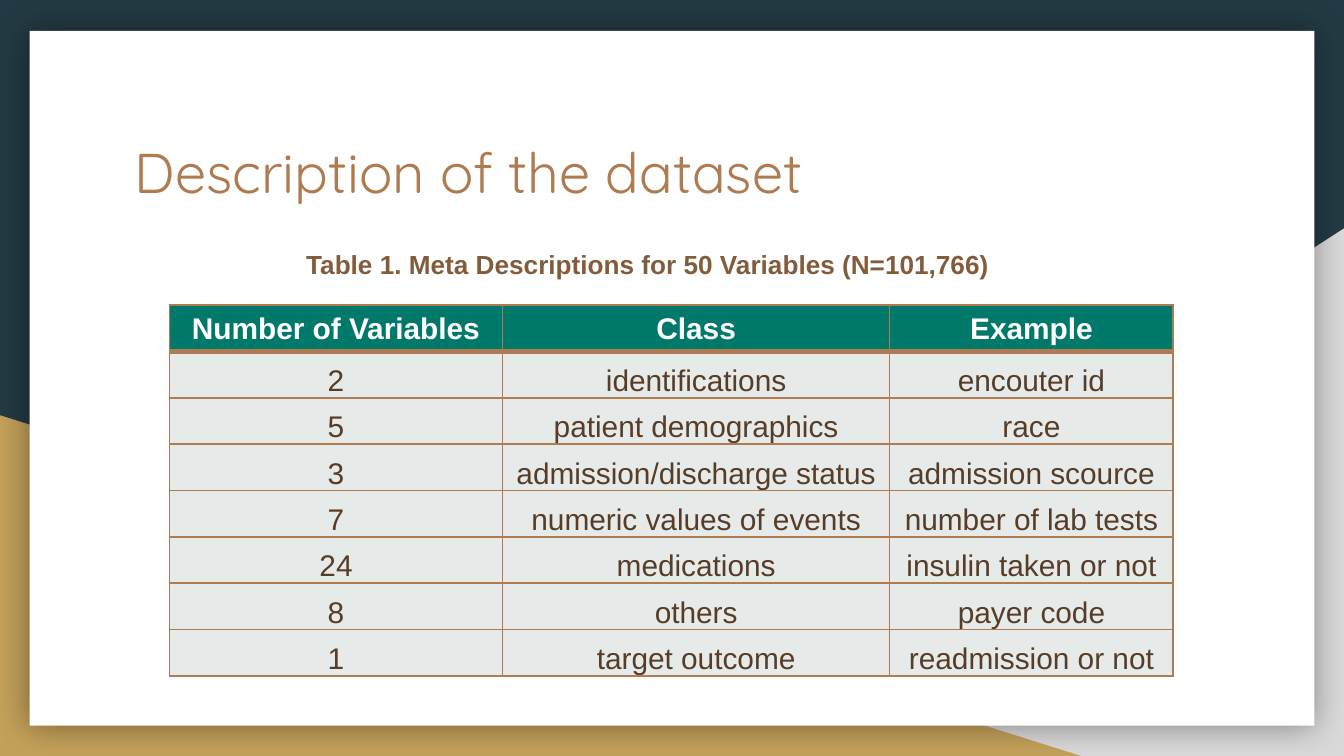
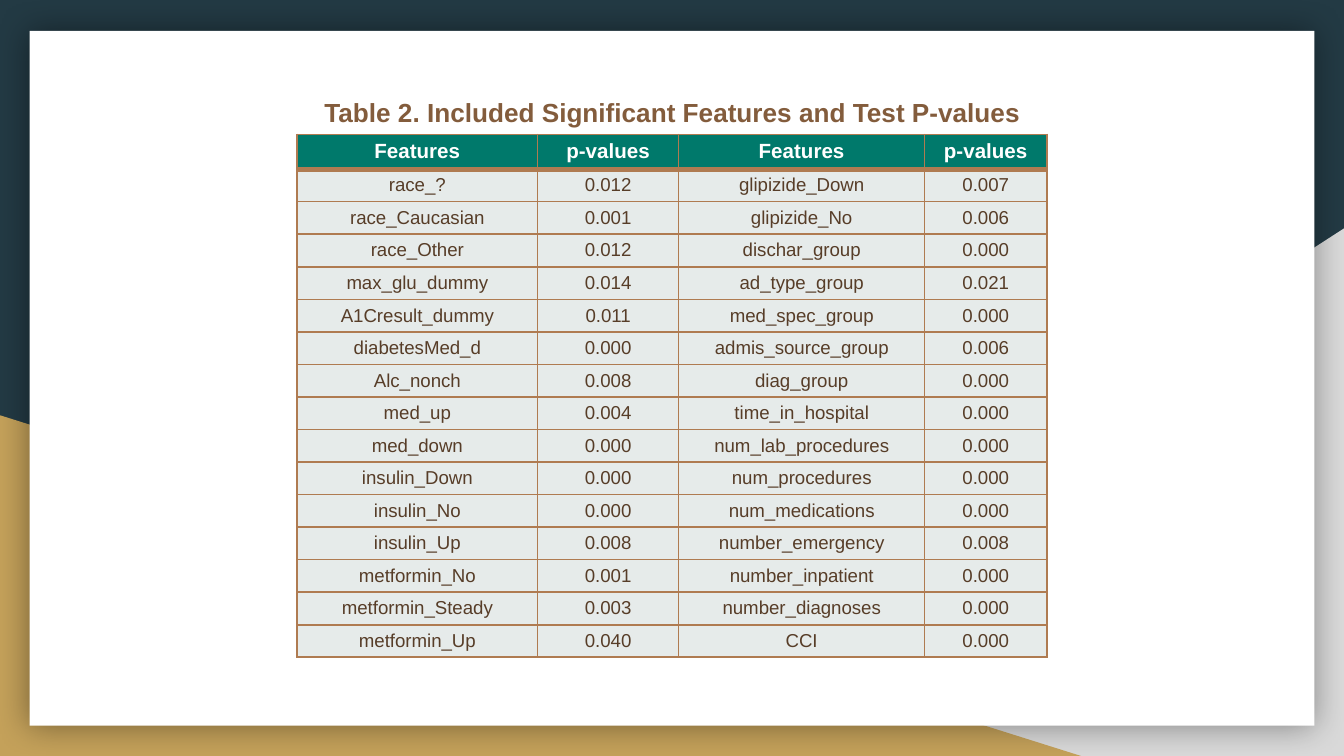
from dataclasses import dataclass

from lxml import etree
from pptx import Presentation
from pptx.dml.color import RGBColor
from pptx.enum.shapes import MSO_SHAPE
from pptx.enum.text import MSO_ANCHOR, MSO_AUTO_SIZE, PP_ALIGN
from pptx.oxml import parse_xml
from pptx.oxml.ns import nsdecls, qn
from pptx.util import Inches, Pt

TRIANGLE, RECT = MSO_SHAPE.RIGHT_TRIANGLE, MSO_SHAPE.RECTANGLE
TOP, MIDDLE, BOTTOM = MSO_ANCHOR.TOP, MSO_ANCHOR.MIDDLE, MSO_ANCHOR.BOTTOM
LEFT, CENTER = PP_ALIGN.LEFT, PP_ALIGN.CENTER
NO_FIT = MSO_AUTO_SIZE.NONE
TITLE_ONLY, BLANK = 5, 6
WIDTH = 10
HEIGHT = WIDTH * 9 / 16


@dataclass(frozen=True)
class Theme:
    navy: str = "233A44"
    grey: str = "D9D9D9"
    gold: str = "C4A15A"
    white: str = "FFFFFF"
    copper: str = "AF7B51"
    brown: str = "835C3C"
    ink: str = "573D28"
    green: str = "00796B"
    mist: str = "E6EBEA"
    head_font: str = "Quicksand"
    body_font: str = "Arial"
    title_size: int = 30
    caption_size: int = 14
    rule: int = 1
    head_rule: int = 3


@dataclass(frozen=True)
class Grid:
    """Sizes and text settings of one table."""
    cols: tuple
    height: float
    head_size: int
    body_size: int
    anchor: MSO_ANCHOR
    insets: tuple


THEME = Theme()

CLASSES = [
    ("Number of Variables", "Class", "Example"),
    ("2", "identifications", "encouter id"),
    ("5", "patient demographics", "race"),
    ("3", "admission/discharge status", "admission scource"),
    ("7", "numeric values of events", "number of lab tests"),
    ("24", "medications", "insulin taken or not"),
    ("8", "others", "payer code"),
    ("1", "target outcome", "readmission or not"),
]
CLASS_GRID = Grid((2.48, 2.88, 2.11), 2.76, 16, 16, BOTTOM, (0.01, 0.01, 0.01, 0))

FEATURES = [
    ("Features", "p-values", "Features", "p-values"),
    ("race_?", "0.012", "glipizide_Down", "0.007"),
    ("race_Caucasian", "0.001", "glipizide_No", "0.006"),
    ("race_Other", "0.012", "dischar_group", "0.000"),
    ("max_glu_dummy", "0.014", "ad_type_group", "0.021"),
    ("A1Cresult_dummy", "0.011", "med_spec_group", "0.000"),
    ("diabetesMed_d", "0.000", "admis_source_group", "0.006"),
    ("Alc_nonch", "0.008", "diag_group", "0.000"),
    ("med_up", "0.004", "time_in_hospital", "0.000"),
    ("med_down", "0.000", "num_lab_procedures", "0.000"),
    ("insulin_Down", "0.000", "num_procedures", "0.000"),
    ("insulin_No", "0.000", "num_medications", "0.000"),
    ("insulin_Up", "0.008", "number_emergency", "0.008"),
    ("metformin_No", "0.001", "number_inpatient", "0.000"),
    ("metformin_Steady", "0.003", "number_diagnoses", "0.000"),
    ("metformin_Up", "0.040", "CCI", "0.000"),
]
FEATURE_GRID = Grid((1.79, 1.05, 1.83, 0.91), 3.68, 11, 10, MIDDLE, (3 / 80,) * 4)


def paint(fill, color):
    fill.solid()
    fill.fore_color.rgb = RGBColor.from_string(color)


def write(frame, text, size, color, font=THEME.body_font, bold=False, align=LEFT):
    frame.text = text
    para = frame.paragraphs[0]
    para.alignment = align
    face = para.runs[0].font
    face.name, face.size, face.bold = font, Pt(size), bold
    face.color.rgb = RGBColor.from_string(color)


def inset(part, left, top, right, bottom):
    part.margin_left, part.margin_top = Inches(left), Inches(top)
    part.margin_right, part.margin_bottom = Inches(right), Inches(bottom)


def add_plain(slide, kind, box, color):
    shape = slide.shapes.add_shape(kind, *map(Inches, box))
    shape.shadow.inherit = False
    paint(shape.fill, color)
    shape.line.fill.background()
    return shape


def add_glow(shape):
    """Give the shape a soft shadow on all sides."""
    effects = shape.element.spPr.find(qn("a:effectLst"))
    effects.append(parse_xml(
        f'<a:outerShdw {nsdecls("a")} blurRad="{Pt(18)}" dist="0" dir="0" '
        'algn="ctr" rotWithShape="0"><a:srgbClr val="000000">'
        '<a:alpha val="40000"/></a:srgbClr></a:outerShdw>'))


def dress_master(master, slide):
    """Draw the backdrop on a slide, then move it to the master."""
    paint(master.background.fill, THEME.navy)
    right = add_plain(slide, TRIANGLE, (3.92, 1.7, 6.08, 3.93), THEME.grey)
    right.element.spPr.xfrm.set("flipH", "1")
    left = add_plain(slide, TRIANGLE, (0, 3.09, 8.06, 2.54), THEME.gold)
    sheet = add_plain(slide, RECT, (0.22, 0.23, 9.56, 5.17), THEME.white)
    add_glow(sheet)
    tree = master.shapes.element
    for i, shape in enumerate((right, left, sheet)):
        shape.element.nvSpPr.cNvPr.set("id", str(100 + i))
        tree.insert(2 + i, shape.element)


def set_title(slide, text, box):
    title = slide.shapes.title
    title.left, title.top, title.width, title.height = map(Inches, box)
    frame = title.text_frame
    frame.auto_size, frame.vertical_anchor = NO_FIT, TOP
    inset(frame, 0.1, 0.1, 0.1, 0.1)
    write(frame, text, THEME.title_size, THEME.copper, THEME.head_font)


def add_caption(slide, text, box, align):
    frame = slide.shapes.add_textbox(*map(Inches, box)).text_frame
    frame.word_wrap = True
    write(frame, text, THEME.caption_size, THEME.brown, bold=True, align=align)


def add_rules(cell, top, bottom):
    """Rule all four sides of a cell, with the given top and bottom widths."""
    props = cell._tc.get_or_add_tcPr()
    sides = {"lnL": THEME.rule, "lnR": THEME.rule, "lnT": top, "lnB": bottom}
    for i, (side, width) in enumerate(sides.items()):
        line = etree.Element(qn(f"a:{side}"), w=str(Pt(width)))
        fill = etree.SubElement(line, qn("a:solidFill"))
        etree.SubElement(fill, qn("a:srgbClr"), val=THEME.copper)
        props.insert(i, line)


def add_grid(slide, rows, grid, left, top):
    table = slide.shapes.add_table(
        len(rows), len(grid.cols), Inches(left), Inches(top),
        Inches(sum(grid.cols)), Inches(grid.height)).table
    table.horz_banding = False
    for col, width in zip(table.columns, grid.cols):
        col.width = Inches(width)
    for r, row in enumerate(rows):
        head = r == 0
        size = grid.head_size if head else grid.body_size
        for c, text in enumerate(row):
            cell = table.cell(r, c)
            inset(cell, *grid.insets)
            cell.vertical_anchor = MIDDLE if head else grid.anchor
            paint(cell.fill, THEME.green if head else THEME.mist)
            add_rules(cell, THEME.head_rule if r == 1 else THEME.rule,
                      THEME.head_rule if head else THEME.rule)
            write(cell.text_frame, text, size, THEME.white if head else THEME.ink,
                  bold=head, align=CENTER)


def fill_dataset(slide):
    set_title(slide, "Description of the dataset", (0.9, 0.92, 8.21, 1.04))
    add_grid(slide, CLASSES, CLASS_GRID, 1.26, 2.27)
    add_caption(slide, "Table 1. Meta Descriptions for 50 Variables (N=101,766)",
                (2.18, 1.8, 5.63, 0.34), LEFT)


def fill_features(slide):
    add_grid(slide, FEATURES, FEATURE_GRID, 2.21, 1)
    add_caption(slide, "Table 2. Included Significant Features and Test P-values",
                (2.21, 0.67, 5.59, 0.34), CENTER)


def main():
    deck = Presentation()
    deck.slide_width, deck.slide_height = Inches(WIDTH), Inches(HEIGHT)
    dataset = deck.slides.add_slide(deck.slide_layouts[TITLE_ONLY])
    dress_master(deck.slide_master, dataset)
    fill_dataset(dataset)
    fill_features(deck.slides.add_slide(deck.slide_layouts[BLANK]))
    deck.save("out.pptx")


if __name__ == "__main__":
    main()
